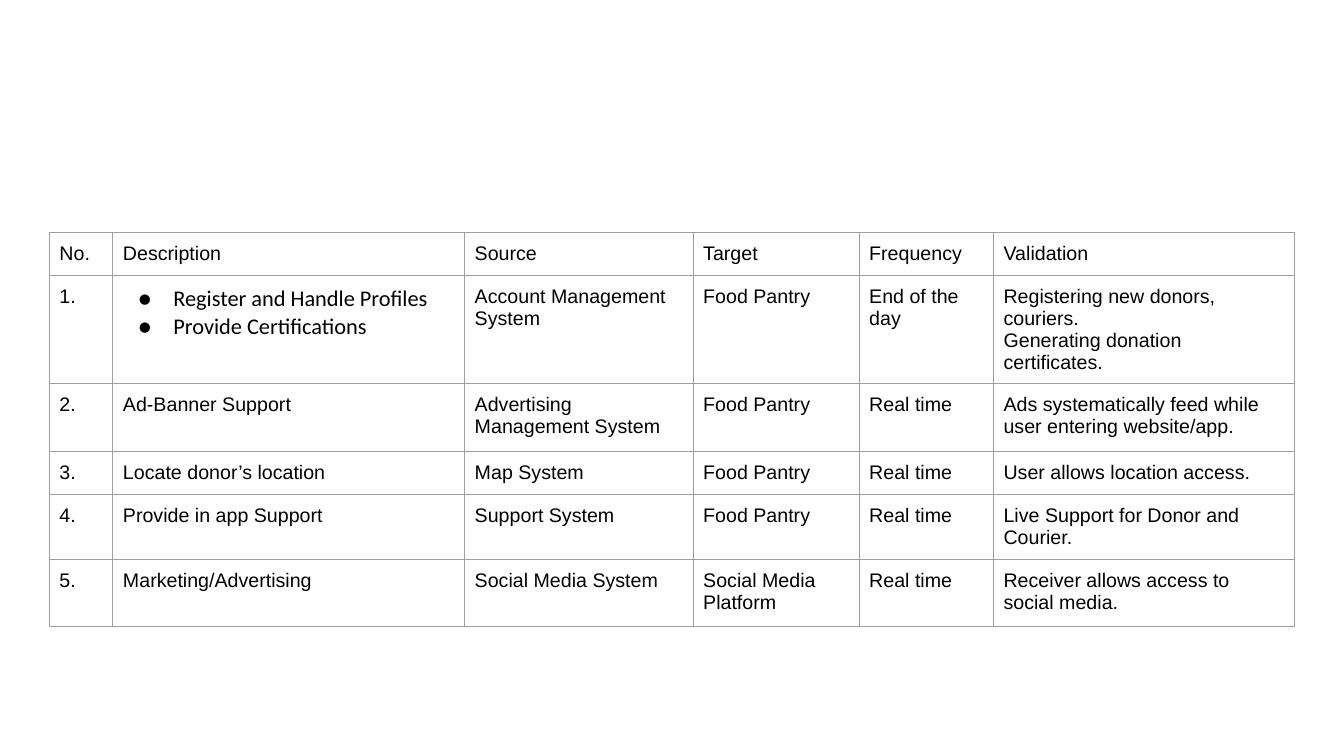
"""Build a slide with the table of system interfaces for a food pantry."""
import lxml.etree
import pptx
import pptx.dml.color
import pptx.oxml
import pptx.oxml.ns
import pptx.util

Pt = pptx.util.Pt

COLUMN_WIDTHS = [45.36, 251.28, 163.2, 118.6, 96, 215.2]
ROW_HEIGHTS = [31, 72, 48.4, 31, 31, 48.4]
HEADINGS = ["No.", "Description", "Source", "Target", "Frequency", "Validation"]
INTERFACES = [
    (["Register and Handle Profiles", "Provide Certifications"],
     "Account Management System", "Food Pantry", "End of the day",
     "Registering new donors, couriers.\nGenerating donation certificates."),
    ("Ad-Banner Support", "Advertising Management System", "Food Pantry", "Real time",
     "Ads systematically feed while user entering website/app."),
    ("Locate donor’s location", "Map System", "Food Pantry", "Real time",
     "User allows location access."),
    ("Provide in app Support", "Support System", "Food Pantry", "Real time",
     "Live Support for Donor and Courier."),
    ("Marketing/Advertising", "Social Media System", "Social Media Platform", "Real time",
     "Receiver allows access to social media."),
]


def rgb(hex_color):
    return pptx.dml.color.RGBColor.from_string(hex_color)


def apply_format(target, values):
    for name, value in values.items():
        setattr(target, name, value)


class SlideBuilder:
    ink = "000000"
    rule = "9E9E9E"
    rule_width = Pt(0.75)
    body = {"name": "Arial", "size": Pt(14), "bold": False}
    listing = {"name": "Calibri", "size": Pt(16), "bold": False}
    margins = dict.fromkeys(
        ["margin_left", "margin_right", "margin_top", "margin_bottom"], Pt(7.2))
    plain_table = {"first_row": False, "horz_banding": False}

    def __init__(self, presentation):
        self.slide = presentation.slides.add_slide(presentation.slide_layouts[6])

    def table(self, left, top, widths, heights, rows):
        grid = self.slide.shapes.add_table(
            len(rows), len(widths), Pt(left), Pt(top),
            Pt(sum(widths)), Pt(sum(heights))).table
        apply_format(grid, self.plain_table)
        for column, width in zip(grid.columns, widths):
            column.width = Pt(width)
        for row, height, contents in zip(grid.rows, heights, rows):
            row.height = Pt(height)
            for cell, content in zip(row.cells, contents):
                self.cell(cell, content)

    def cell(self, cell, content):
        bulleted = isinstance(content, list)
        cell.text = "\n".join(content) if bulleted else content
        apply_format(cell, self.margins)
        cell.fill.background()
        self.borders(cell)
        for paragraph in cell.text_frame.paragraphs:
            for run in paragraph.runs:
                apply_format(run.font, self.listing if bulleted else self.body)
                run.font.color.rgb = rgb(self.ink)
            if bulleted:
                self.bullet(paragraph)

    def borders(self, cell):
        properties = cell._tc.get_or_add_tcPr()
        for position, side in enumerate("LRTB"):
            properties.insert(position, pptx.oxml.parse_xml(
                f'<a:ln{side} {pptx.oxml.ns.nsdecls("a")} w="{self.rule_width}">'
                f'<a:solidFill><a:srgbClr val="{self.rule}"/></a:solidFill>'
                f'</a:ln{side}>'))

    def bullet(self, paragraph):
        properties = paragraph._p.get_or_add_pPr()
        properties.set("marL", str(Pt(36)))
        properties.set("indent", str(Pt(-25.2)))
        qn = pptx.oxml.ns.qn
        color = lxml.etree.SubElement(properties, qn("a:buClr"))
        lxml.etree.SubElement(color, qn("a:srgbClr"), val=self.ink)
        lxml.etree.SubElement(properties, qn("a:buFont"), typeface=self.listing["name"])
        lxml.etree.SubElement(properties, qn("a:buChar"), char="●")


presentation = pptx.Presentation()
apply_format(presentation, {"slide_width": Pt(960), "slide_height": Pt(540)})
numbered = [(f"{number}.", *interface) for number, interface in enumerate(INTERFACES, 1)]
SlideBuilder(presentation).table(
    35.3, 165.8, COLUMN_WIDTHS, ROW_HEIGHTS, [HEADINGS, *numbered])
presentation.save("out.pptx")
